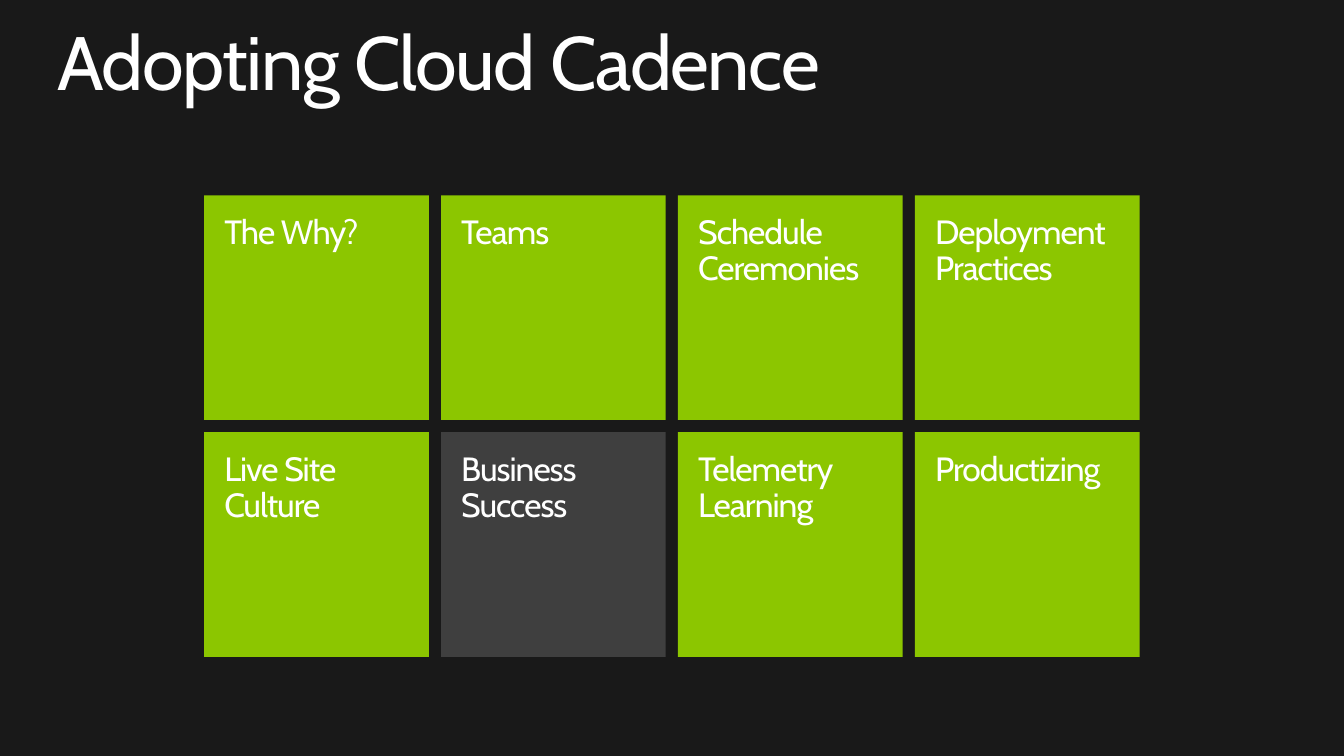
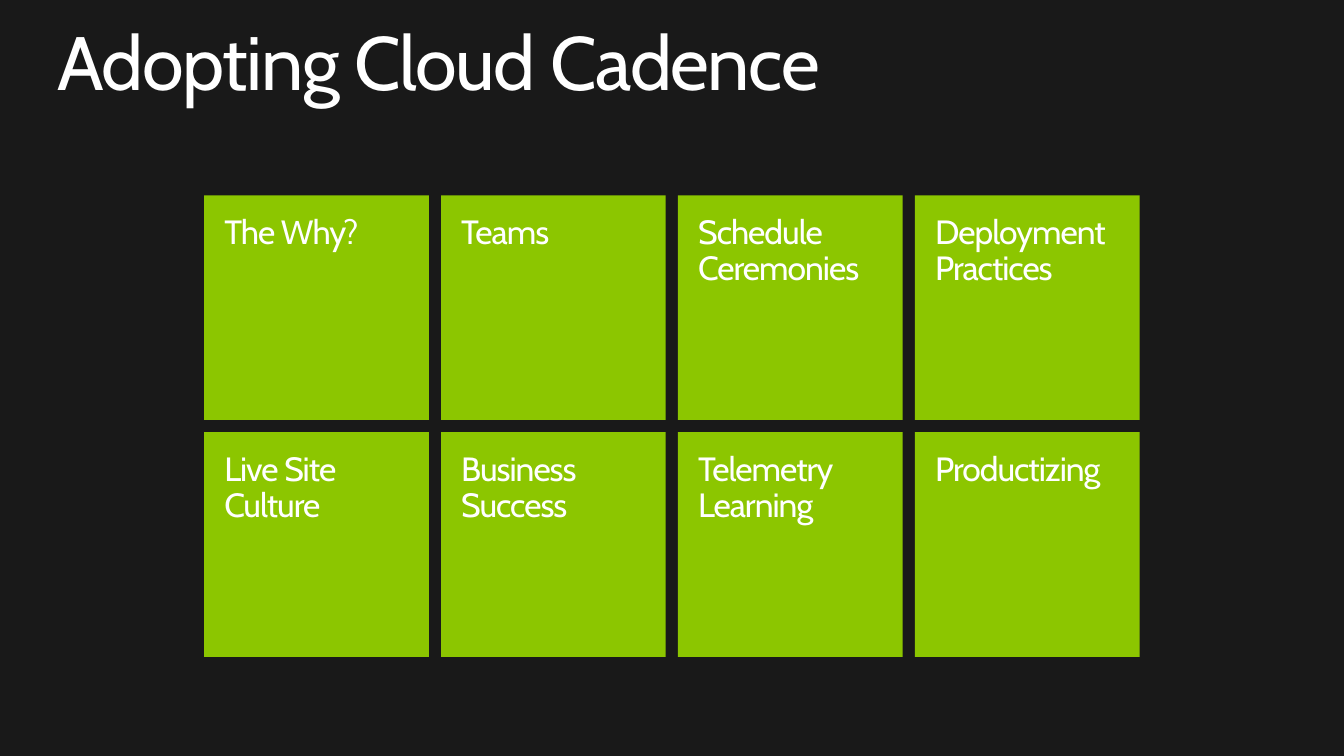
import pptx
import pptx.dml.color
import pptx.enum.shapes
import pptx.enum.text
import pptx.util

Pt = pptx.util.Pt
RGBColor = pptx.dml.color.RGBColor

BACKGROUND = RGBColor(0x19, 0x19, 0x19)
GREEN = RGBColor(0x8C, 0xC6, 0x00)
GRAY = RGBColor(0x3F, 0x3F, 0x3F)
WHITE = RGBColor(0xFF, 0xFF, 0xFF)

FONT = "Cabin"
TITLE = "Adopting Cloud Cadence"
TITLE_BOX = (41, 18, 878, 59)
GRID_ORIGIN = (145.8, 139.5)
TILE_SIZE = 160.5
TILE_GAP = 8.75
TOPICS = [
    [["The Why?"], ["Teams"], ["Schedule", "Ceremonies"], ["Deployment", "Practices"]],
    [["Live Site Culture"], ["Business Success"], ["Telemetry", "Learning"], ["Productizing"]],
]


def write_text(shape, lines, size, spacing, insets):
    """Write white, left-aligned paragraphs from the top of a shape."""
    frame = shape.text_frame
    frame.word_wrap = True
    frame.vertical_anchor = pptx.enum.text.MSO_ANCHOR.TOP
    frame.margin_left, frame.margin_top, frame.margin_right, frame.margin_bottom = map(Pt, insets)
    for index, line in enumerate(lines):
        paragraph = frame.add_paragraph() if index else frame.paragraphs[0]
        paragraph.alignment = pptx.enum.text.PP_ALIGN.LEFT
        paragraph.line_spacing = 0.9
        run = paragraph.add_run()
        run.text = line
        run.font.name = FONT
        run.font.size = Pt(size)
        run.font.color.rgb = WHITE
        run.font._element.set("spc", str(round(spacing * 100)))


def add_title(slide, box, text):
    """Place the slide title in the given box."""
    shape = slide.shapes.add_textbox(*map(Pt, box))
    write_text(shape, [text], 54, -1, (0, 0, 0, 0))
    shape.text_frame.auto_size = pptx.enum.text.MSO_AUTO_SIZE.SHAPE_TO_FIT_TEXT


def add_tile(slide, left, top, lines, color):
    """Place one square topic tile."""
    shape = slide.shapes.add_shape(
        pptx.enum.shapes.MSO_SHAPE.RECTANGLE, Pt(left), Pt(top), Pt(TILE_SIZE), Pt(TILE_SIZE))
    shape.shadow.inherit = False
    shape.fill.solid()
    shape.fill.fore_color.rgb = color
    shape.line.fill.background()
    write_text(shape, lines, 24, -0.7, (14.4, 14.4, 7.2, 3.6))


def add_topic_grid(slide, origin, topics, muted):
    """Lay out the topic tiles in rows, graying the muted one."""
    left, top = origin
    pitch = TILE_SIZE + TILE_GAP
    for row, row_topics in enumerate(topics):
        for column, lines in enumerate(row_topics):
            color = GRAY if " ".join(lines) == muted else GREEN
            add_tile(slide, left + column * pitch, top + row * pitch, lines, color)


def add_topics_slide(presentation, muted=None):
    """Add a slide with the title and the grid of topics."""
    slide = presentation.slides.add_slide(presentation.slide_layouts[6])
    add_title(slide, TITLE_BOX, TITLE)
    add_topic_grid(slide, GRID_ORIGIN, TOPICS, muted)


def main():
    """Build and save the presentation."""
    presentation = pptx.Presentation()
    presentation.slide_width = Pt(960)
    presentation.slide_height = Pt(540)
    background = presentation.slide_master.background.fill
    background.solid()
    background.fore_color.rgb = BACKGROUND
    add_topics_slide(presentation, muted="Business Success")
    add_topics_slide(presentation)
    presentation.save("out.pptx")


if __name__ == "__main__":
    main()
